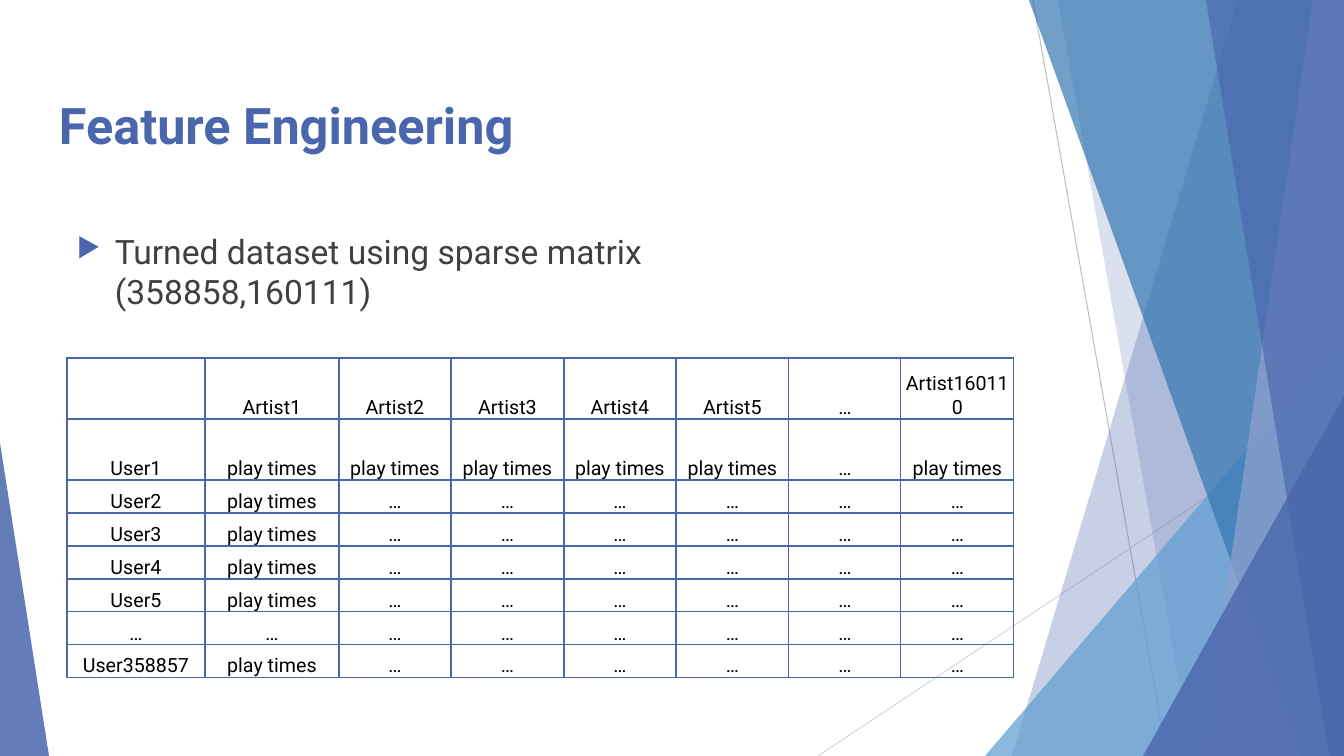
from collections import namedtuple

from pptx import Presentation
from pptx import util as u
from pptx.dml.color import RGBColor
from pptx.enum import shapes, text
from pptx.oxml import ns, xmlchemy

PX = u.Inches(7.5) / 756
FONT = "Roboto"
BLUE = RGBColor(0x4A, 0x66, 0xAC)
SKY = RGBColor(0x62, 0x9D, 0xD1)
TEAL = RGBColor(0x34, 0x77, 0xB2)
LAVENDER = RGBColor(0x90, 0xA2, 0xCF)
SILVER = RGBColor(0xBF, 0xBF, 0xBF)
PALE_GREY = RGBColor(0xD9, 0xD9, 0xD9)
DARK_GREY = RGBColor(0x40, 0x40, 0x40)
BLACK = RGBColor(0, 0, 0)

Box = namedtuple("Box", "left top width height")


def px(length):
    """Turn px into EMU."""
    return u.Emu(round(length * PX))


def add_xml(parent, tag, **attributes):
    """Append a drawing element with its attributes and return it."""
    element = xmlchemy.OxmlElement(tag)
    for name, value in attributes.items():
        element.set(name, str(value))
    parent.append(element)
    return element


def write(frame, words, size, color, bold=False, align=text.PP_ALIGN.LEFT):
    """Write one formatted paragraph in a text frame and return it."""
    paragraph = frame.paragraphs[0]
    paragraph.alignment = align
    run = paragraph.add_run()
    run.text = words
    run.font.name = FONT
    run.font.size = u.Pt(size)
    run.font.bold = bold
    run.font.color.rgb = color
    return paragraph


def add_text(slide, box, words, **style):
    """Add a wrapping text box and return its paragraph."""
    frame = slide.shapes.add_textbox(*map(px, box)).text_frame
    frame.word_wrap = True
    return write(frame, words, **style)


def tint(shape, color, alpha):
    """Give a shape a translucent fill without outline or shadow."""
    shape.shadow.inherit = False
    shape.line.fill.background()
    shape.fill.solid()
    shape.fill.fore_color.rgb = color
    color_element = shape.element.spPr.find(ns.qn("a:solidFill"))[0]
    add_xml(color_element, "a:alpha", val=alpha * 1000)


def add_line(slide, start, end, color):
    """Draw a thin straight line."""
    line = slide.shapes.add_connector(
        shapes.MSO_CONNECTOR.STRAIGHT, *map(px, start + end))
    line.line.color.rgb = color
    line.line.width = u.Pt(0.75)
    add_xml(line.element.spPr, "a:effectLst")


def add_wedge(slide, box, apex, color, alpha):
    """Draw a translucent triangle with its apex at a share of the width."""
    wedge = slide.shapes.add_shape(
        shapes.MSO_SHAPE.ISOSCELES_TRIANGLE, *map(px, box))
    wedge.adjustments[0] = apex
    tint(wedge, color, alpha)


def add_band(slide, box, upper, lower, color, alpha):
    """Fill a box from a slanted left edge to its right side."""
    right, bottom = box.left + box.width, box.top + box.height
    corners = [(box.left + upper, box.top), (right, box.top),
               (right, bottom), (box.left + lower, bottom)]
    points = [(px(x), px(y)) for x, y in corners]
    builder = slide.shapes.build_freeform(*points[0], scale=1.0)
    builder.add_line_segments(points[1:], close=True)
    tint(builder.convert_to_shape(), color, alpha)


def add_facets(slide, box):
    """Draw the overlapping facets on the right of the slide."""
    left, top, width, height = box
    right, bottom = left + width, top + height
    add_line(slide, (left + 48, top), (left + 182, bottom), SILVER)
    add_line(slide, (right, top + 406), (left - 167, bottom), PALE_GREY)
    add_band(slide, box, 253, 27, BLUE, 30)
    add_band(slide, box, 73, 207, BLUE, 20)
    add_wedge(slide, Box(left, bottom - 420, width, 420), 1, SKY, 72)
    add_band(slide, box, 44, 316, TEAL, 70)
    add_band(slide, box, 328, 217, LAVENDER, 70)
    add_band(slide, box, 221, 344, BLUE, 65)
    add_wedge(slide, Box(right - 201, bottom - 360, 201, 360), 1, BLUE, 80)


def add_bullet(slide, box, words):
    """Add the bulleted statement with its hanging indent."""
    paragraph = add_text(slide, box, words, size=24, color=DARK_GREY)
    paragraph.space_before = u.Pt(10)
    properties = paragraph.runs[0].font and paragraph._p.get_or_add_pPr()
    properties.set("marL", str(px(38)))
    properties.set("indent", str(-px(38)))
    bullet_color = add_xml(properties, "a:buClr")
    add_xml(bullet_color, "a:srgbClr", val=BLUE)
    add_xml(properties, "a:buSzPct", val=80000)
    add_xml(properties, "a:buChar", char="▶")


def format_cell(cell, words):
    """Write a centred cell with blue borders and no fill."""
    cell.margin_left = cell.margin_right = cell.margin_top = px(1)
    cell.margin_bottom = 0
    cell.vertical_anchor = text.MSO_ANCHOR.BOTTOM
    if words:
        write(cell.text_frame, words, size=14, color=BLACK,
              align=text.PP_ALIGN.CENTER)
    properties = cell._tc.get_or_add_tcPr()
    for side in ("a:lnL", "a:lnR", "a:lnT", "a:lnB"):
        border = add_xml(properties, side, w=u.Pt(1))
        add_xml(add_xml(border, "a:solidFill"), "a:srgbClr", val=BLUE)
    cell.fill.background()


def add_matrix(slide, box):
    """Add the table of play times by user and artist."""
    dots, plays = "…", "play times"
    rows = [["", *(f"Artist{n}" for n in range(1, 6)), dots, "Artist160110"],
            ["User1", *[plays] * 5, dots, plays],
            *([f"User{n}", plays] + [dots] * 6 for n in range(2, 6)),
            [dots] * 8,
            ["User358857", plays] + [dots] * 6]
    table = slide.shapes.add_table(len(rows), 8, *map(px, box)).table
    table.first_row = table.horz_banding = False
    for column, width in zip(table.columns, [138, 134] + [112, 113] * 3):
        column.width = px(width)
    for row, height, values in zip(table.rows, [61] * 2 + [33] * 6, rows):
        row.height = px(height)
        for cell, words in zip(row.cells, values):
            format_cell(cell, words)


def add_feature_slide(presentation):
    """Build the feature engineering slide."""
    slide = presentation.slides.add_slide(presentation.slide_layouts[6])
    add_facets(slide, Box(985, 0, 359, 756))
    add_wedge(slide, Box(0, 443, 49, 313), 0, BLUE, 85)
    add_text(slide, Box(49, 89, 877, 119), "Feature Engineering",
             size=36, color=BLUE, bold=True)
    add_bullet(slide, Box(67, 226, 679, 131),
               "Turned dataset using sparse matrix (358858,160111)")
    add_matrix(slide, Box(67, 358, 947, 320))


def main():
    """Create and save the presentation."""
    presentation = Presentation()
    presentation.slide_width = px(1344)
    presentation.slide_height = px(756)
    add_feature_slide(presentation)
    presentation.save("out.pptx")


if __name__ == "__main__":
    main()
